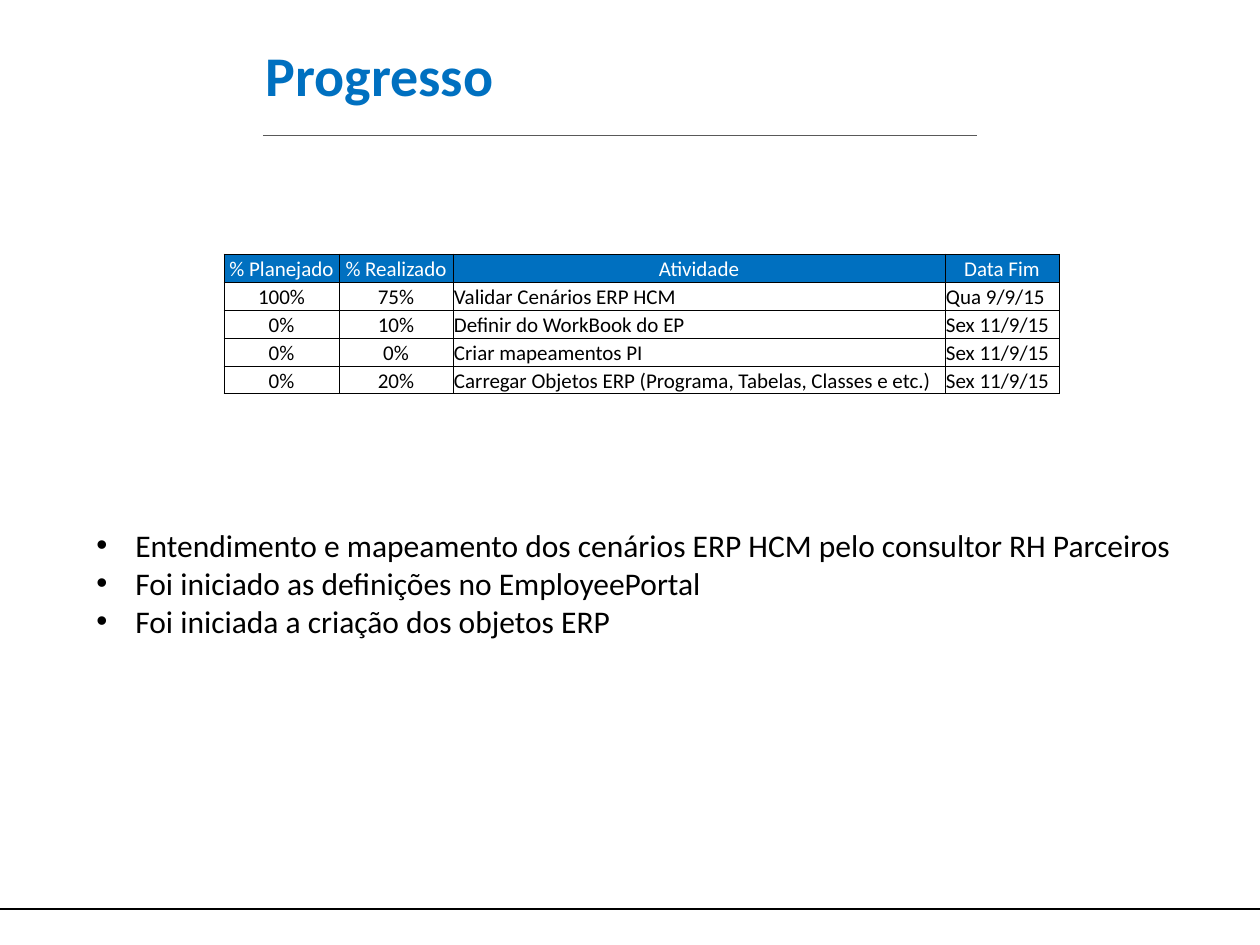
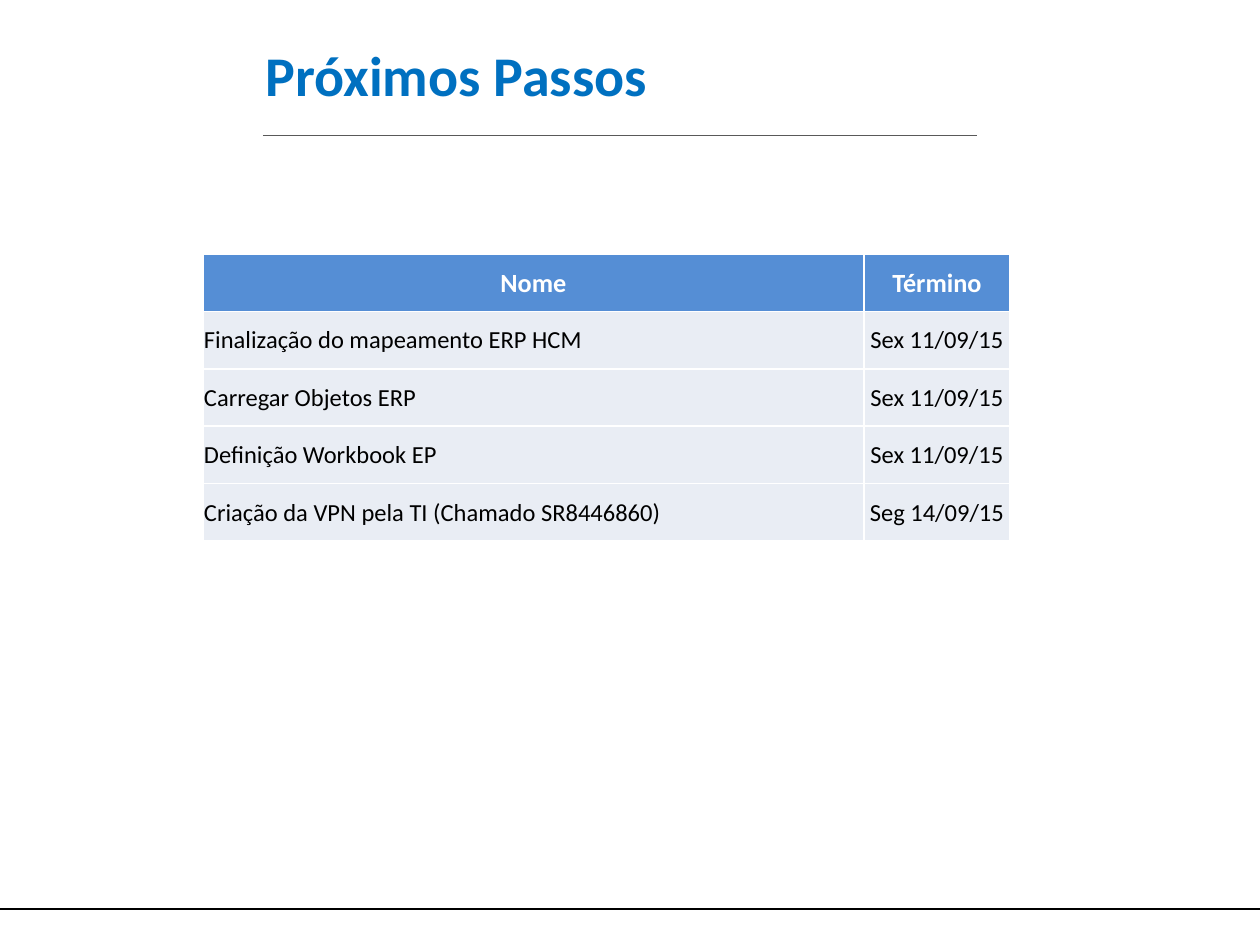
from lxml import etree
from pptx import Presentation
from pptx.dml.color import RGBColor
from pptx.enum.shapes import MSO_CONNECTOR
from pptx.enum.text import MSO_ANCHOR, MSO_AUTO_SIZE, PP_ALIGN
from pptx.oxml.ns import qn
from pptx.util import Pt

LINE = MSO_CONNECTOR.STRAIGHT
BOTTOM, MIDDLE = MSO_ANCHOR.BOTTOM, MSO_ANCHOR.MIDDLE
FIT_SHAPE = MSO_AUTO_SIZE.SHAPE_TO_FIT_TEXT
LEFT, CENTER = PP_ALIGN.LEFT, PP_ALIGN.CENTER

FONT = "Calibri"
COLORS = {
    "title": "0070C0", "rule": "595959", "black": "000000", "white": "FFFFFF",
    "steps_head": "558ED5", "steps_body": "E9EDF4",
}
PAGE_WIDTH, PAGE_HEIGHT = 1260, 945
TITLE_BOX = (253, 19, 777, 110)

PROGRESS_STYLE = {
    "fills": ("title", "white"), "sizes": (12, 12), "bold_head": False,
    "border": ("black", 0.5), "anchor": BOTTOM,
    "aligns": (CENTER, CENTER, LEFT, LEFT),
}
STEPS_STYLE = {
    "fills": ("steps_head", "steps_body"), "sizes": (15, 14), "bold_head": True,
    "border": ("white", 1), "anchor": MIDDLE, "aligns": (LEFT, CENTER),
}
PROGRESS_ROWS = [
    ("% Planejado", "% Realizado", "Atividade", "Data Fim"),
    ("100%", "75%", "Validar Cenários ERP HCM", "Qua 9/9/15"),
    ("0%", "10%", "Definir do WorkBook do EP", "Sex 11/9/15"),
    ("0%", "0%", "Criar mapeamentos PI", "Sex 11/9/15"),
    ("0%", "20%", "Carregar Objetos ERP (Programa, Tabelas, Classes e etc.)", "Sex 11/9/15"),
]
PROGRESS_NOTES = [
    "Entendimento e mapeamento dos cenários ERP HCM pelo consultor RH Parceiros",
    "Foi iniciado as definições no EmployeePortal",
    "Foi iniciada a criação dos objetos ERP",
]
STEPS_ROWS = [
    ("Nome", "Término"),
    ("Finalização do mapeamento ERP HCM", "Sex 11/09/15"),
    ("Carregar Objetos ERP", "Sex 11/09/15"),
    ("Definição Workbook EP", "Sex 11/09/15"),
    ("Criação da VPN pela TI (Chamado SR8446860)", "Seg 14/09/15"),
]


def emu(px):
    """Turn px into EMU at 126 px to the inch."""
    return round(px * 914400 / 126)


def color(name):
    """Return a named colour."""
    return RGBColor.from_string(COLORS[name])


def add_span(para, text, size, color_name, bold=False):
    """Add one formatted run to a paragraph."""
    span = para.add_run()
    span.text = text
    span.font.name = FONT
    span.font.size = Pt(size)
    span.font.bold = bold
    span.font.color.rgb = color(color_name)


def add_text_box(page, box):
    """Add a wrapping text box and return its frame."""
    frame = page.shapes.add_textbox(*map(emu, box)).text_frame
    frame.word_wrap = True
    return frame


def add_rule(page, left, right, top, color_name, width):
    """Draw a flat horizontal line."""
    rule = page.shapes.add_connector(LINE, emu(left), emu(top), emu(right), emu(top))
    rule.line.color.rgb = color(color_name)
    rule.line.width = Pt(width)
    etree.SubElement(rule._element.spPr, qn("a:effectLst"))


def add_page(deck, title):
    """Add a page with the shared rules and title."""
    page = deck.slides.add_slide(deck.slide_layouts[6])
    add_rule(page, 0, PAGE_WIDTH, 909, "black", 0.75)
    left, top, _, height = TITLE_BOX
    add_rule(page, left + 10, left + 724, top + height + 6, "rule", 0.5)
    frame = add_text_box(page, TITLE_BOX)
    frame.vertical_anchor = MIDDLE
    add_span(frame.paragraphs[0], title, 32, "title", True)
    return page


def set_borders(cell, color_name, width):
    """Draw all four borders of a cell."""
    properties = cell._tc.get_or_add_tcPr()
    for index, side in enumerate(("lnL", "lnR", "lnT", "lnB")):
        border = etree.Element(qn(f"a:{side}"), w=str(Pt(width)))
        fill = etree.SubElement(border, qn("a:solidFill"))
        etree.SubElement(fill, qn("a:srgbClr"), val=COLORS[color_name])
        properties.insert(index, border)


def fill_cell(cell, text, is_head, align, style):
    """Write and format one table cell."""
    part = 0 if is_head else 1
    cell.margin_left = cell.margin_right = cell.margin_top = emu(1)
    cell.margin_bottom = 0
    cell.vertical_anchor = style["anchor"]
    cell.fill.solid()
    cell.fill.fore_color.rgb = color(style["fills"][part])
    set_borders(cell, *style["border"])
    para = cell.text_frame.paragraphs[0]
    para.alignment = CENTER if is_head else align
    add_span(para, text, style["sizes"][part], "white" if is_head else "black",
             is_head and style["bold_head"])


def add_grid(page, box, widths, rows, style):
    """Add a table with equal row heights."""
    table = page.shapes.add_table(len(rows), len(widths), *map(emu, box)).table
    table.horz_banding = False
    for column, width in zip(table.columns, widths):
        column.width = emu(width)
    for row_index, texts in enumerate(rows):
        table.rows[row_index].height = emu(box[3] / len(rows))
        for column_index, text in enumerate(texts):
            fill_cell(table.cell(row_index, column_index), text, row_index == 0,
                      style["aligns"][column_index], style)


def add_bullets(page, box, notes):
    """Add a bulleted list with a hanging indent."""
    frame = add_text_box(page, box)
    frame.auto_size = FIT_SHAPE
    for index, note in enumerate(notes):
        para = frame.add_paragraph() if index else frame.paragraphs[0]
        properties = para._p.get_or_add_pPr()
        properties.set("marL", str(emu(39)))
        properties.set("indent", str(-emu(39)))
        etree.SubElement(properties, qn("a:buFont"), typeface="Arial")
        etree.SubElement(properties, qn("a:buChar"), char="•")
        add_span(para, note, 18, "black")


def build_progress(deck):
    """Build the progress page."""
    page = add_page(deck, "Progresso")
    add_grid(page, (224, 254, 835, 140), (115, 114, 492, 114), PROGRESS_ROWS, PROGRESS_STYLE)
    add_bullets(page, (84, 520, 1114, 127), PROGRESS_NOTES)


def build_steps(deck):
    """Build the next steps page."""
    page = add_page(deck, "Próximos Passos")
    add_grid(page, (203, 254, 807, 287), (661, 146), STEPS_ROWS, STEPS_STYLE)


def main():
    """Build and save the deck."""
    deck = Presentation()
    deck.slide_width, deck.slide_height = emu(PAGE_WIDTH), emu(PAGE_HEIGHT)
    build_progress(deck)
    build_steps(deck)
    deck.save("out.pptx")


if __name__ == "__main__":
    main()
